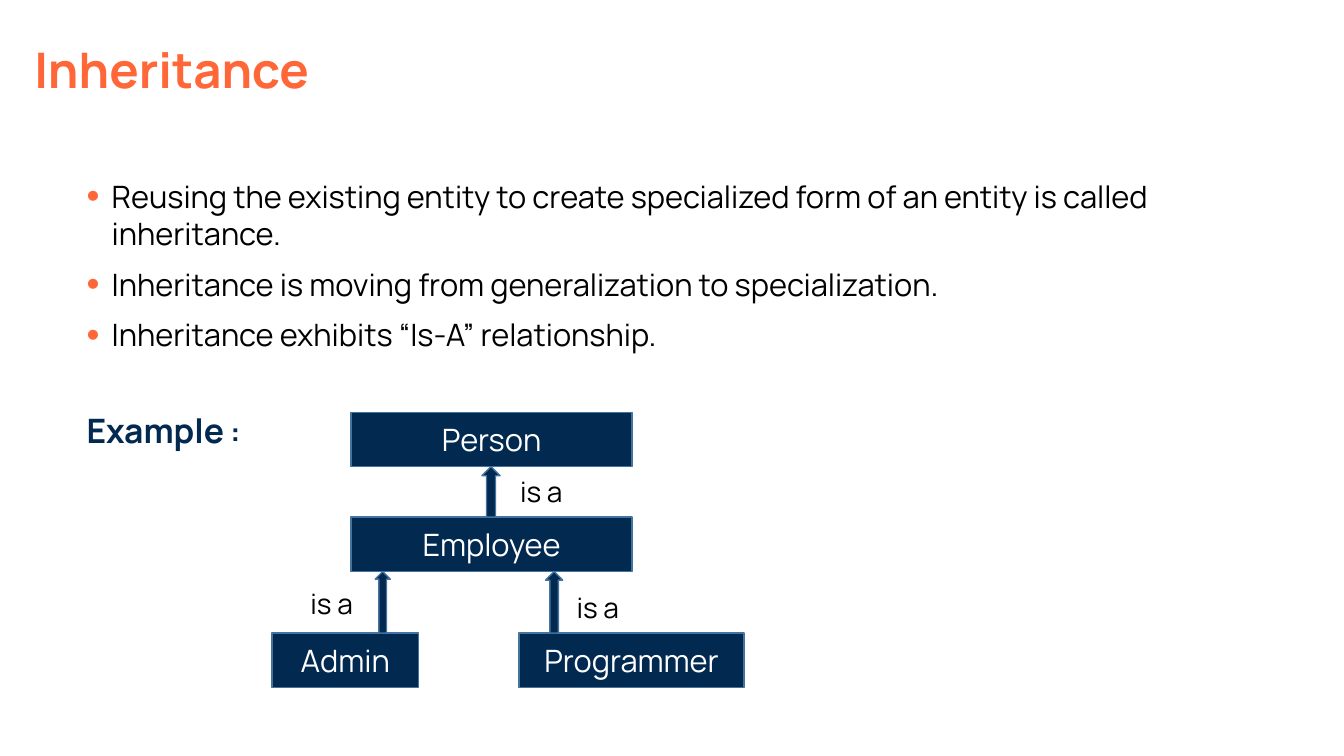
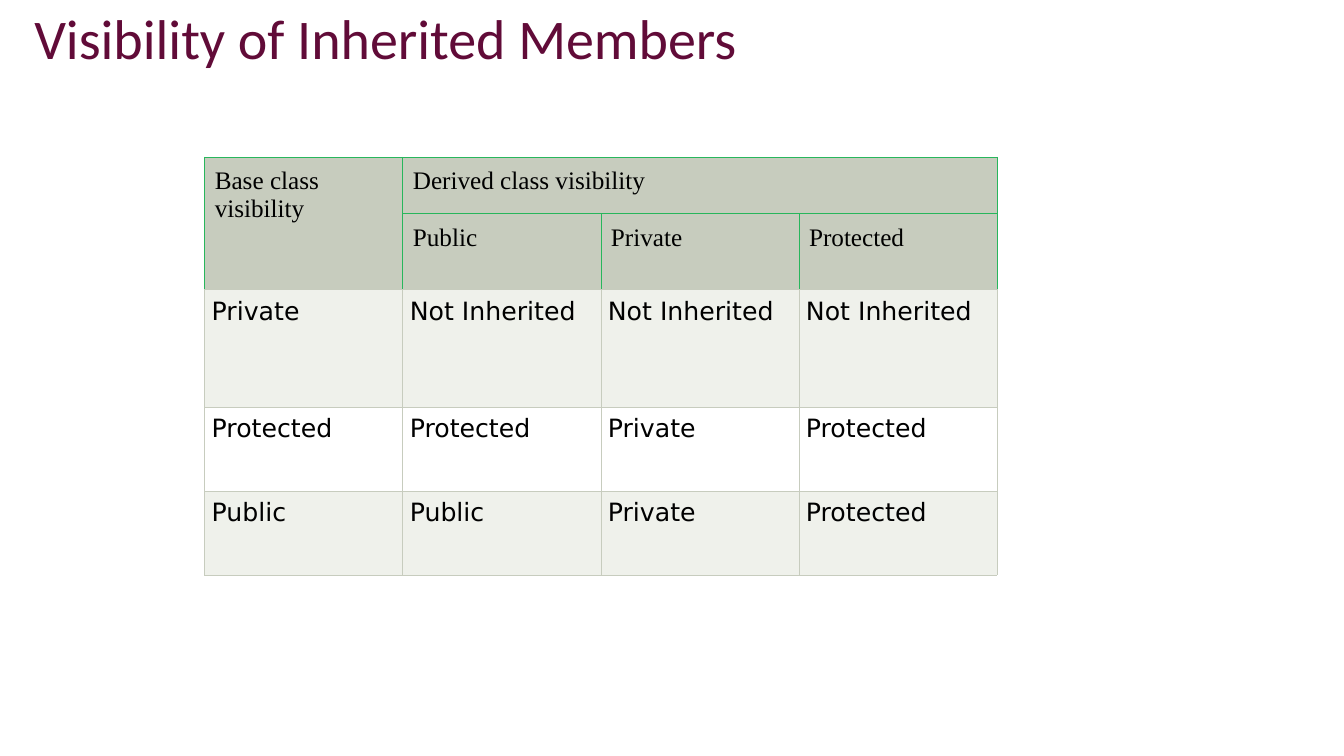
from lxml.etree import SubElement
from pptx import Presentation
from pptx.dml.color import RGBColor
from pptx.enum.shapes import MSO_SHAPE
from pptx.enum.text import MSO_ANCHOR, MSO_AUTO_SIZE, PP_ALIGN
from pptx.oxml.ns import qn
from pptx.util import Inches, Pt

WIDTH, HEIGHT = Inches(13.33), Inches(7.5)
COL, ROW = WIDTH / 100, HEIGHT / 100  # grid of 100 columns by 100 rows

ORANGE = RGBColor(0xFF, 0x67, 0x38)
NAVY = RGBColor(0x02, 0x29, 0x50)
STEEL = RGBColor(0x43, 0x73, 0x9E)
PLUM = RGBColor(0x61, 0x0B, 0x38)
GREEN = RGBColor(0x28, 0xB6, 0x5C)
SAGE = RGBColor(0xC7, 0xCC, 0xBE)
PALE = RGBColor(0xEF, 0xF1, 0xEB)
WHITE = RGBColor(0xFF, 0xFF, 0xFF)
BLACK = RGBColor(0, 0, 0)

BODY = {"name": "Manrope", "size": Pt(22), "color": BLACK}
BOX = {**BODY, "color": WHITE}
LABEL = {**BODY, "size": Pt(20)}
EXAMPLE = {**BODY, "size": Pt(24), "color": NAVY, "bold": True}
EXAMPLE_COLON = {**EXAMPLE, "size": Pt(22)}
TITLE = {"name": "Manrope", "size": Pt(35), "color": ORANGE, "bold": True}
PLAIN_TITLE = {"name": "Calibri", "size": Pt(40), "color": PLUM, "bold": False}
HEADER_CELL = {"name": "Times New Roman", "size": Pt(18), "color": BLACK, "bold": False}
BODY_CELL = {**HEADER_CELL, "name": "DejaVu Sans"}

BULLETS = (
    "Reusing the existing entity to create specialized form of an entity is called inheritance.",
    "Inheritance is moving from generalization to specialization.",
    "Inheritance exhibits “Is-A” relationship.",
)
VISIBILITY = (
    ("Base class visibility", "Derived class visibility", "", ""),
    ("", "Public", "Private", "Protected"),
    ("Private", "Not Inherited", "Not Inherited", "Not Inherited"),
    ("Protected", "Protected", "Private", "Protected"),
    ("Public", "Public", "Private", "Protected"),
)
HEADER_ROWS = 2


def area(left, top, width, height):
    """Turn grid columns and rows into left, top, width and height."""
    return [round(n * unit) for n, unit in zip((left, top, width, height), (COL, ROW) * 2)]


def add_run(p, text, style):
    r = p.add_run()
    r.text = text
    for name, value in style.items():
        if name == "color":
            r.font.color.rgb = value
        else:
            setattr(r.font, name, value)


def add_titled_slide(prs, text, style, anchor=MSO_ANCHOR.MIDDLE):
    s = prs.slides.add_slide(prs.slide_layouts[5])
    title = s.shapes.title
    title.left, title.top, title.width, title.height = area(1.8, 0, 86.27, 19.33)
    tf = title.text_frame
    tf.auto_size, tf.word_wrap = MSO_AUTO_SIZE.NONE, True
    tf.vertical_anchor = anchor
    tf.margin_top = Inches(0.11 if anchor == MSO_ANCHOR.TOP else 0.05)
    p = tf.paragraphs[0]
    p.alignment, p.line_spacing = PP_ALIGN.LEFT, 0.9
    add_run(p, text, style)
    return s


def add_text_box(s, place):
    tf = s.shapes.add_textbox(*place).text_frame
    tf.word_wrap = True
    return tf


def set_bullet(p):
    pPr = p._p.get_or_add_pPr()
    pPr.set("marL", str(Inches(0.25)))
    pPr.set("indent", str(-Inches(0.25)))
    color = SubElement(pPr, qn("a:buClr"))
    SubElement(color, qn("a:srgbClr"), val=str(ORANGE))
    SubElement(pPr, qn("a:buSzPct"), val="120000")
    SubElement(pPr, qn("a:buFont"), typeface="Arial")
    SubElement(pPr, qn("a:buChar"), char="•")


def add_body(s):
    tf = add_text_box(s, area(5.7, 22.8, 86.27, 63.47))
    for i, text in enumerate(BULLETS):
        p = tf.add_paragraph() if i else tf.paragraphs[0]
        p.space_before = Pt(10)
        set_bullet(p)
        add_run(p, text, BODY)
    p = tf.add_paragraph()
    p.space_before, p.line_spacing = Pt(44), 0.9
    add_run(p, "Example", EXAMPLE)
    add_run(p, " :", EXAMPLE_COLON)


def add_navy_shape(s, kind, place):
    sp = s.shapes.add_shape(kind, *place)
    sp.shadow.inherit = False
    sp.fill.solid()
    sp.fill.fore_color.rgb = NAVY
    sp.line.color.rgb = STEEL
    sp.line.width = Pt(1)
    return sp


def add_class_box(s, text, left, top, width):
    sp = add_navy_shape(s, MSO_SHAPE.RECTANGLE, area(left, top, width, 7.2))
    sp.text_frame.vertical_anchor = MSO_ANCHOR.MIDDLE
    p = sp.text_frame.paragraphs[0]
    p.alignment = PP_ALIGN.CENTER
    add_run(p, text, BOX)
    return sp


def add_is_a(s, child, parent, left, width, label_left, label_top):
    """Draw an arrow from child up to parent, with its label."""
    bottom = parent.top + parent.height
    place = area(left, 0, width, 0)
    place[1], place[3] = bottom, child.top - bottom
    add_navy_shape(s, MSO_SHAPE.UP_ARROW, place)
    tf = add_text_box(s, area(label_left, label_top, 7.43, 5.87))
    add_run(tf.paragraphs[0], "is a", LABEL)


def set_borders(cell, colors):
    """Set the borders in the order left, right, top, bottom."""
    tcPr = cell._tc.get_or_add_tcPr()
    for side, color in zip("LRTB", colors):
        ln = SubElement(tcPr, qn(f"a:ln{side}"), w=str(Pt(0.6)))
        fill = SubElement(ln, qn("a:solidFill"))
        SubElement(fill, qn("a:srgbClr"), val=str(color))


def format_cell(cell, text, row, col):
    header = row < HEADER_ROWS
    side = GREEN if header else SAGE
    set_borders(cell, (side, side, side, GREEN if row == 0 and col else SAGE))
    cell.fill.solid()
    cell.fill.fore_color.rgb = SAGE if header else (PALE, WHITE)[row % 2]
    for edge in ("left", "top", "right", "bottom"):
        setattr(cell, f"margin_{edge}", Inches(0.1 if header else 0.07))
    if text:
        add_run(cell.text_frame.paragraphs[0], text, HEADER_CELL if header else BODY_CELL)


def add_visibility_table(s):
    heights = (7.47, 9.07, 15.6, 11.07, 11.07)
    place = area(15.23, 20.8, 58.96, sum(heights))
    table = s.shapes.add_table(len(VISIBILITY), len(VISIBILITY[0]), *place).table
    table.first_row = table.horz_banding = False
    for row, height in zip(table.rows, heights):
        row.height = round(height * ROW)
    for i, texts in enumerate(VISIBILITY):
        for j, text in enumerate(texts):
            format_cell(table.cell(i, j), text, i, j)
    table.cell(0, 0).merge(table.cell(1, 0))
    table.cell(0, 1).merge(table.cell(0, 3))


def add_inheritance_slide(prs):
    s = add_titled_slide(prs, "Inheritance", TITLE)
    add_body(s)
    person = add_class_box(s, "Person", 26.11, 54.53, 20.93)
    employee = add_class_box(s, "Employee", 26.11, 68.4, 20.93)
    admin = add_class_box(s, "Admin", 20.25, 83.73, 10.88)
    programmer = add_class_box(s, "Programmer", 38.63, 83.73, 16.73)
    add_is_a(s, employee, person, 35.86, 1.35, 37.96, 62.13)
    add_is_a(s, admin, employee, 27.91, 1.13, 22.36, 76.93)
    add_is_a(s, programmer, employee, 40.59, 1.28, 42.16, 77.47)


def add_visibility_slide(prs):
    s = add_titled_slide(prs, "Visibility of Inherited Members", PLAIN_TITLE, MSO_ANCHOR.TOP)
    add_visibility_table(s)


def main():
    prs = Presentation()
    prs.slide_width, prs.slide_height = WIDTH, HEIGHT
    add_inheritance_slide(prs)
    add_visibility_slide(prs)
    prs.save("out.pptx")


if __name__ == "__main__":
    main()
